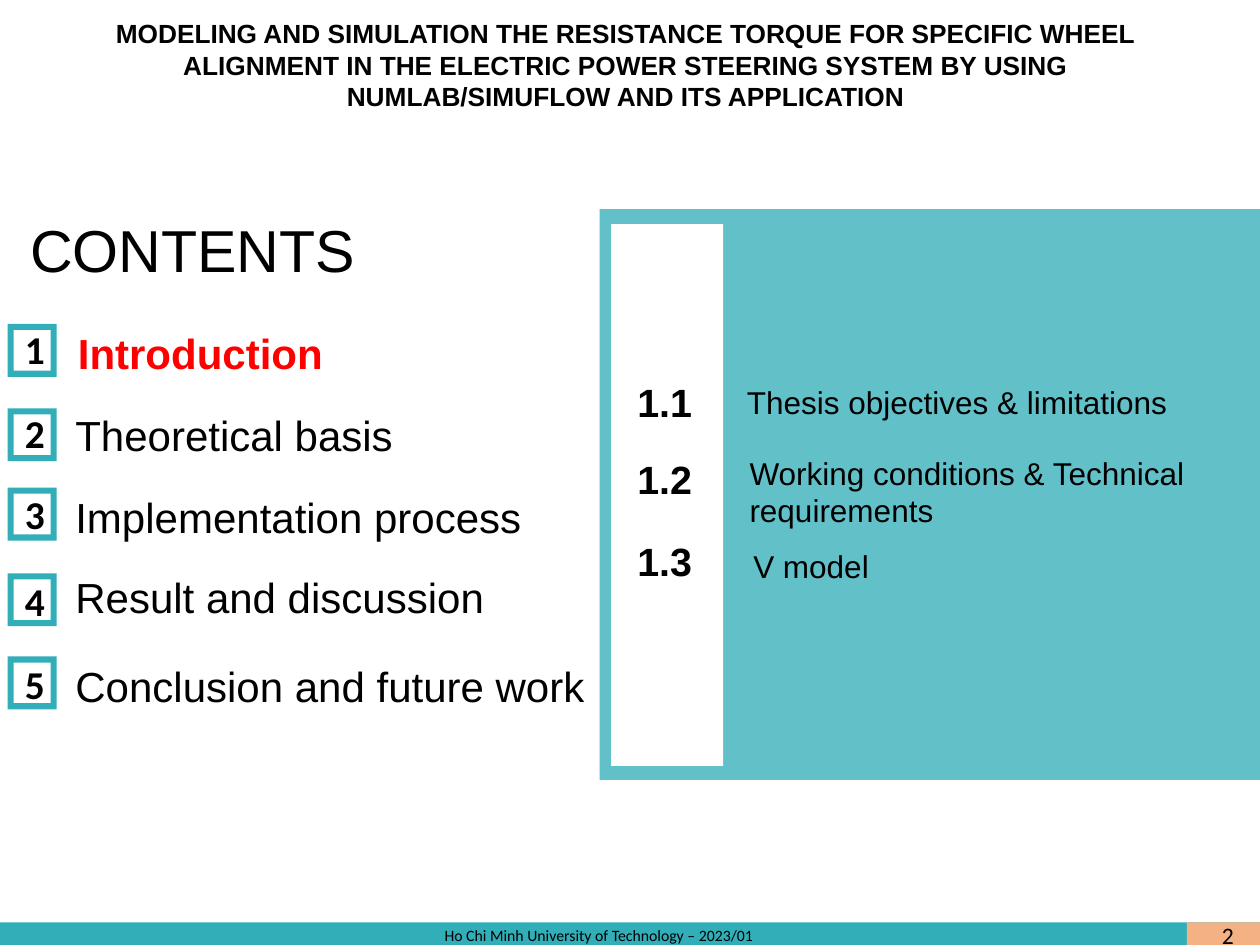
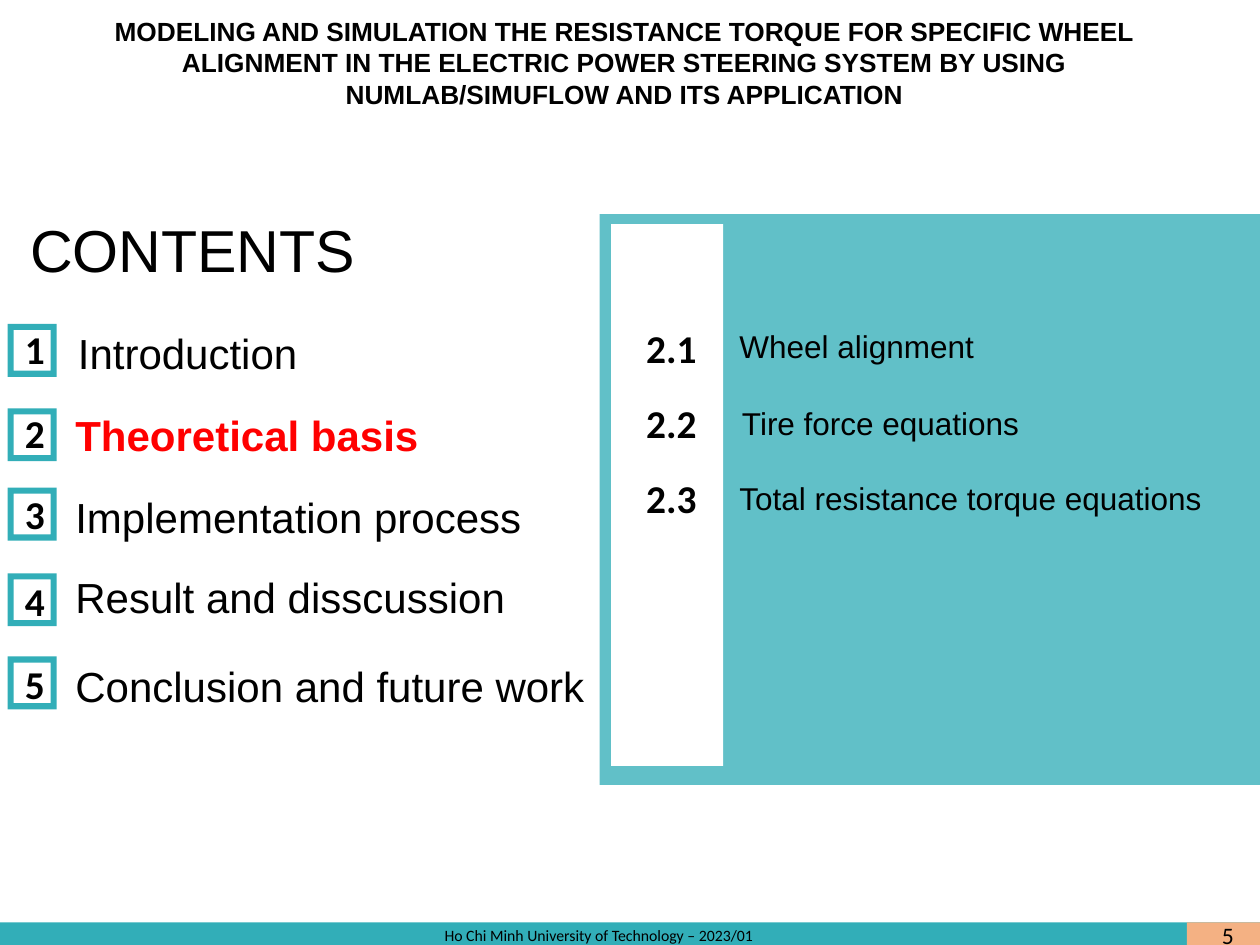
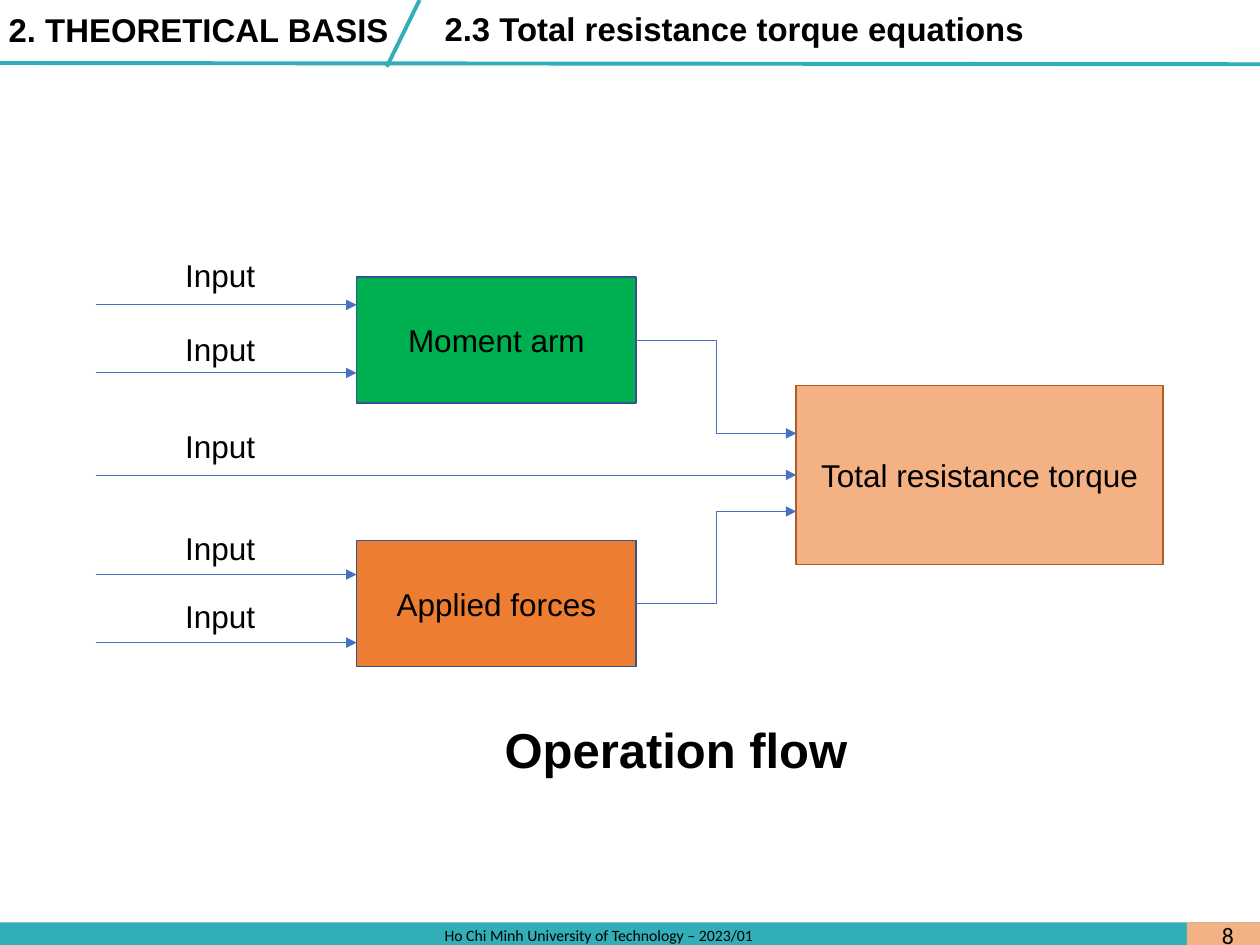
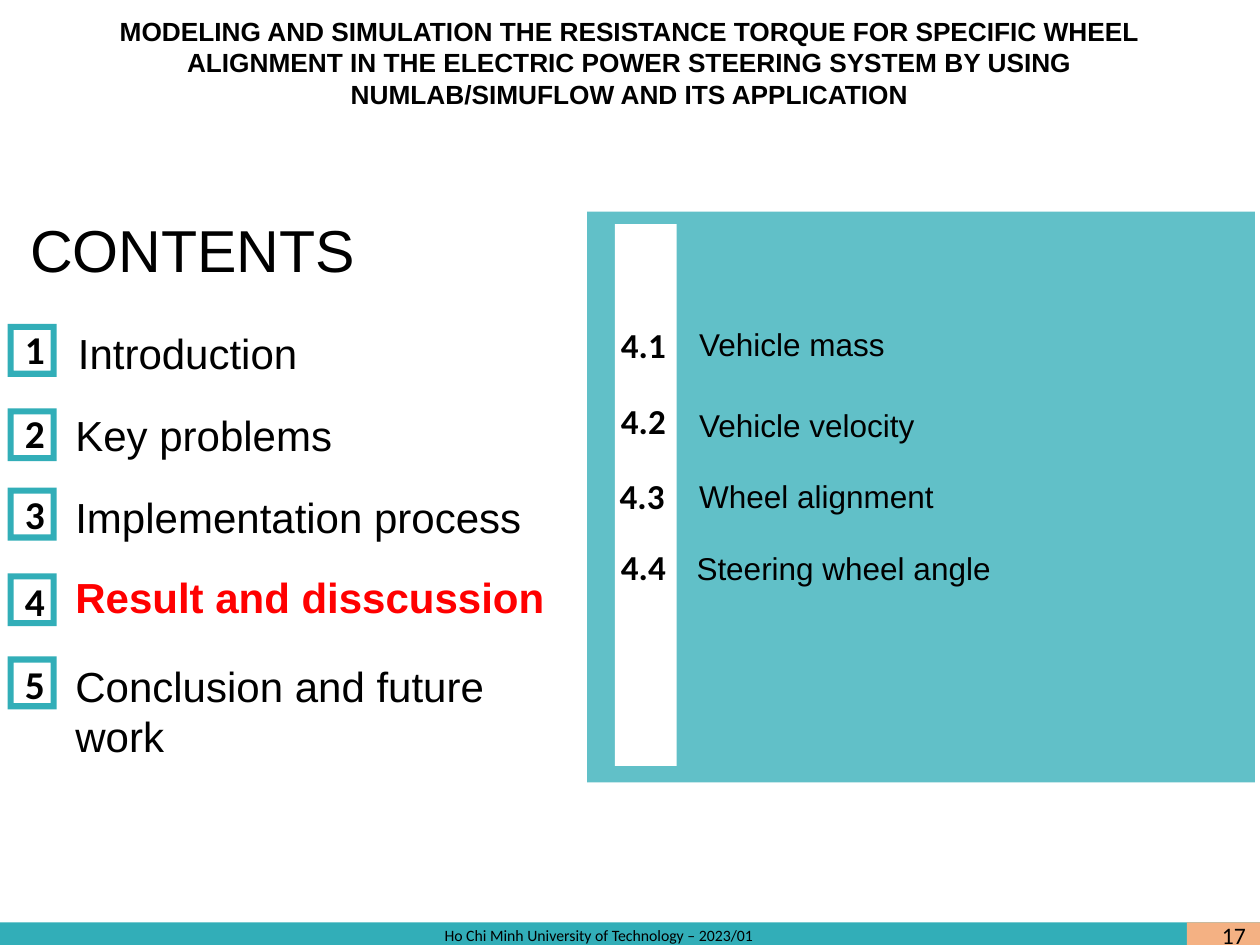
from lxml import etree
from pptx import Presentation
from pptx import util as u
from pptx.dml.color import RGBColor
from pptx.enum import shapes, text
from pptx.oxml import ns

TEAL, PEACH, BLACK, WHITE, RED = "32AEB8", "F4B183", "000000", "FFFFFF", "FF0000"
ARROW_BLUE, BOX_BLUE, BROWN = "4472C4", "325491", "AF5C24"
GREEN, ORANGE = "00B050", "ED7D31"
HEADING = ("MODELING AND SIMULATION THE RESISTANCE TORQUE FOR SPECIFIC WHEEL "
           "ALIGNMENT IN THE ELECTRIC POWER STEERING SYSTEM BY USING "
           "NUMLAB/SIMUFLOW AND ITS APPLICATION")
CENTER = text.PP_ALIGN.CENTER

# Chapter rows: left and width of the label, tops of label, number and frame
CHAPTER_ROWS = [
    (0.52, 3.04, 2.55, 2.53, 2.57),
    (0.5, 4.7, 3.2, 3.2, 3.24),
    (0.5, 4.7, 3.85, 3.84, 3.87),
    (0.5, 4.26, 4.49, 4.53, 4.55),
    (0.5, 5.01, 5.19, 5.19, 5.21),
]


def color(hex_code):
    return RGBColor.from_string(hex_code)


def inches(*lengths):
    return [u.Inches(length) for length in lengths]


def write(frame, words, size=18, font="Arial", ink=BLACK, bold=False, align=None):
    """Put one formatted paragraph into a text frame."""
    frame.word_wrap = True
    paragraph = frame.paragraphs[0]
    paragraph.alignment = align
    run = paragraph.add_run()
    run.text = words
    run.font.size = u.Pt(size)
    run.font.name = font
    run.font.bold = bold
    run.font.color.rgb = color(ink)


def add_label(parent, box, words, middle=False, **style):
    frame = parent.add_textbox(*inches(*box)).text_frame
    write(frame, words, **style)
    if middle:
        frame.vertical_anchor = text.MSO_ANCHOR.MIDDLE
    else:
        frame.auto_size = text.MSO_AUTO_SIZE.SHAPE_TO_FIT_TEXT


def add_block(parent, box, fill, kind=shapes.MSO_SHAPE.RECTANGLE, outline=None, opacity=100):
    block = parent.add_shape(kind, *inches(*box))
    block.shadow.inherit = False
    block.fill.solid()
    block.fill.fore_color.rgb = color(fill)
    if opacity < 100:
        tint = block.fill._xPr.find(".//" + ns.qn("a:srgbClr"))
        etree.SubElement(tint, ns.qn("a:alpha"), val=str(opacity * 1000))
    if outline:
        block.line.color.rgb = color(outline)
        block.line.width = u.Pt(1)
    else:
        block.line.fill.background()
    return block


def add_line(parent, start, end, ink, width, arrow=False, kind=shapes.MSO_CONNECTOR.STRAIGHT):
    line = parent.add_connector(kind, *inches(*start, *end))
    line.line.color.rgb = color(ink)
    line.line.width = u.Pt(width)
    if arrow:
        etree.SubElement(line.line._get_or_add_ln(), ns.qn("a:tailEnd"), type="triangle")
    etree.SubElement(line._element.spPr, ns.qn("a:effectLst"))
    return line


def add_footer(slide, page):
    footer = slide.shapes.add_group_shape().shapes
    add_block(footer, (0, 7.32, 10, 0.18), TEAL)
    add_block(footer, (9.42, 7.32, 0.58, 0.18), PEACH)
    add_label(footer, (9.6, 7.26, 0.4, 0.33), str(page), size=13.5, font="Calibri")
    add_label(footer, (3.43, 7.3, 4.08, 0.25),
              "Ho Chi Minh University of Technology – 2023/01", size=9, font="Calibri")


def new_slide(deck, page):
    slide = deck.slides.add_slide(deck.slide_layouts[6])
    add_footer(slide, page)
    return slide


def add_chapters(parent, chapters, current, last_width):
    add_label(parent, (0.14, 1.66, 2.92, 0.63), "CONTENTS", size=33.8, middle=True)
    for number, (chapter, row) in enumerate(zip(chapters, CHAPTER_ROWS), 1):
        left, width, label_top, number_top, frame_top = row
        if number == len(chapters):
            width = last_width
        active = number == current
        add_label(parent, (left, label_top, width, 0.52), chapter, size=24,
                  ink=RED if active else BLACK, bold=active)
        add_label(parent, (0.1, number_top, 0.3, 0.48), str(number),
                  size=22.5, font="Calibri", bold=True)
        add_block(parent, (0.06, frame_top, 0.39, 0.42), TEAL, shapes.MSO_SHAPE.FRAME)


def add_contents_slide(deck, page, heading_at, chapters, current, last_width,
                       panel, strip, number_style, sections):
    """Chapter list on the left, sections of the current chapter on the right."""
    parent = new_slide(deck, page).shapes
    add_label(parent, (*heading_at, 9.31, 0.86), HEADING, size=15, bold=True, align=CENTER)
    add_chapters(parent, chapters, current, last_width)
    add_block(parent, panel, TEAL, opacity=77)
    add_block(parent, strip, WHITE)
    for index, (number_box, title_box, title) in enumerate(sections, 1):
        add_label(parent, number_box, f"{current}.{index}", bold=True, **number_style)
        add_label(parent, title_box, title)


def add_flow_box(parent, box, words, fill, outline):
    block = add_block(parent, box, fill, outline=outline)
    write(block.text_frame, words, align=CENTER)
    block.text_frame.vertical_anchor = text.MSO_ANCHOR.MIDDLE
    return block


def add_flow_slide(deck, page):
    parent = new_slide(deck, page).shapes

    # Title band
    add_label(parent, (3.43, 0.02, 4.86, 0.42), "2.3 Total resistance torque equations",
              size=18.8, bold=True)
    add_line(parent, (0, 0.5), (10, 0.51), TEAL, 2.25)
    add_line(parent, (3.07, 0.53), (3.33, 0), TEAL, 2.25)
    add_label(parent, (-0.03, 0.03, 3.41, 0.42), "2. THEORETICAL BASIS", size=18.8, bold=True)

    # Boxes
    flow = parent.add_group_shape().shapes
    moment_arm = add_flow_box(flow, (2.83, 2.2, 2.22, 1), "Moment arm", GREEN, BOX_BLUE)
    forces = add_flow_box(flow, (2.83, 4.29, 2.22, 1), "Applied forces", ORANGE, BOX_BLUE)
    total = add_flow_box(flow, (6.32, 3.06, 2.91, 1.42), "Total resistance torque", PEACH, BROWN)

    # Inputs: label top, arrow height, arrow end
    for label_top, y, end in [(1.98, 2.42, 2.83), (2.57, 2.96, 2.83), (3.34, 3.77, 6.32),
                              (4.15, 4.56, 2.83), (4.69, 5.1, 2.83)]:
        arrow = add_line(flow, (0.76, y), (end, y), ARROW_BLUE, 0.5, arrow=True)
        if end == 6.32:
            arrow.end_connect(total, 1)
        add_label(flow, (1.37, label_top, 1.58, 0.4), "Input")

    # Results passed on to the total
    for source, start_y, end_y in [(moment_arm, 2.7, 3.44), (forces, 4.79, 4.06)]:
        elbow = add_line(flow, (5.05, start_y), (6.32, end_y), ARROW_BLUE, 0.5, arrow=True,
                         kind=shapes.MSO_CONNECTOR.ELBOW)
        elbow.begin_connect(source, 3)

    add_label(parent, (1.83, 5.66, 7.07, 0.57), "Operation flow", size=28, bold=True, align=CENTER)


def main():
    deck = Presentation()
    deck.slide_width, deck.slide_height = inches(10, 7.5)
    process, future = "Implementation process", "Conclusion and future work"

    add_contents_slide(
        deck, 2, (0.31, 0.09),
        ["Introduction", "Theoretical basis", process, "Result and discussion", future], 1, 5.01,
        (4.76, 1.66, 5.29, 4.53), (4.85, 1.78, 0.89, 4.3), dict(size=22.5),
        [((4.96, 2.95, 0.78, 0.48), (5.83, 2.99, 3.85, 0.4), "Thesis objectives & limitations"),
         ((4.96, 3.56, 0.78, 0.48), (5.85, 3.55, 3.69, 0.71),
          "Working conditions & Technical requirements"),
         ((4.96, 4.21, 0.78, 0.48), (5.88, 4.29, 3.85, 0.4), "V model")])

    add_contents_slide(
        deck, 5, (0.3, 0.07),
        ["Introduction", "Theoretical basis", process, "Result and disscussion", future], 2, 4.86,
        (4.76, 1.7, 5.29, 4.53), (4.85, 1.78, 0.89, 4.3), dict(size=22.5, font="Calibri"),
        [((5.03, 2.52, 0.61, 0.48), (5.77, 2.55, 3.72, 0.4), "Wheel alignment"),
         ((5.03, 3.12, 0.61, 0.48), (5.79, 3.16, 3.85, 0.4), "Tire force equations"),
         ((5.03, 3.71, 0.61, 0.48), (5.77, 3.75, 4.17, 0.4), "Total resistance torque equations")])

    add_flow_slide(deck, 8)

    add_contents_slide(
        deck, 17, (0.34, 0.07),
        ["Introduction", "Key problems", process, "Result and disscussion", future], 4, 3.93,
        (4.66, 1.68, 5.3, 4.53), (4.88, 1.78, 0.49, 4.3), dict(size=20, font="Calibri"),
        [((4.83, 2.52, 0.61, 0.44), (5.45, 2.53, 4.8, 0.4), "Vehicle mass"),
         ((4.83, 3.12, 0.61, 0.44), (5.45, 3.17, 4.8, 0.4), "Vehicle velocity"),
         ((4.82, 3.72, 0.61, 0.44), (5.45, 3.74, 4.8, 0.4), "Wheel alignment"),
         ((4.83, 4.28, 0.61, 0.44), (5.43, 4.31, 4.8, 0.4), "Steering wheel angle")])

    deck.save("out.pptx")


if __name__ == "__main__":
    main()
